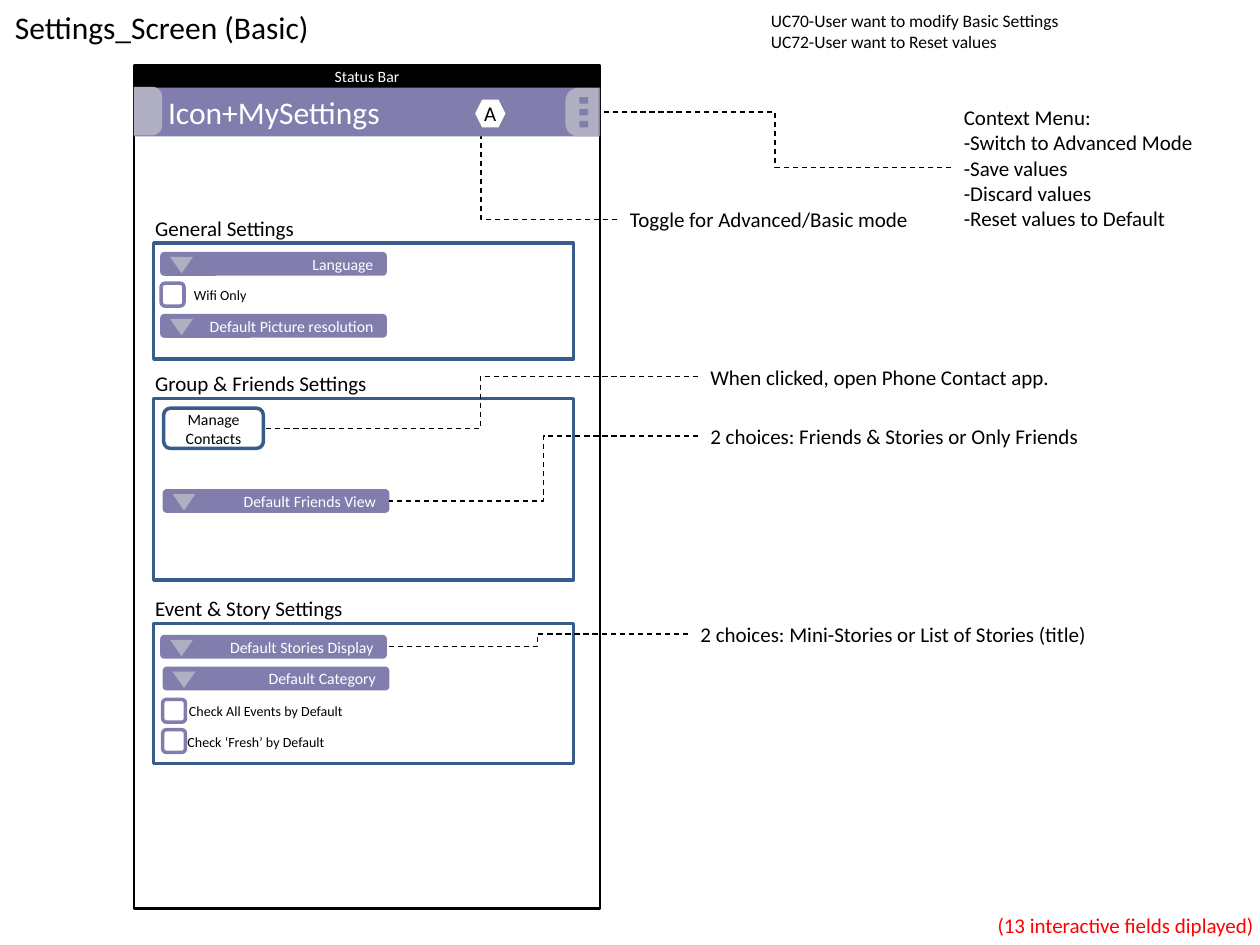
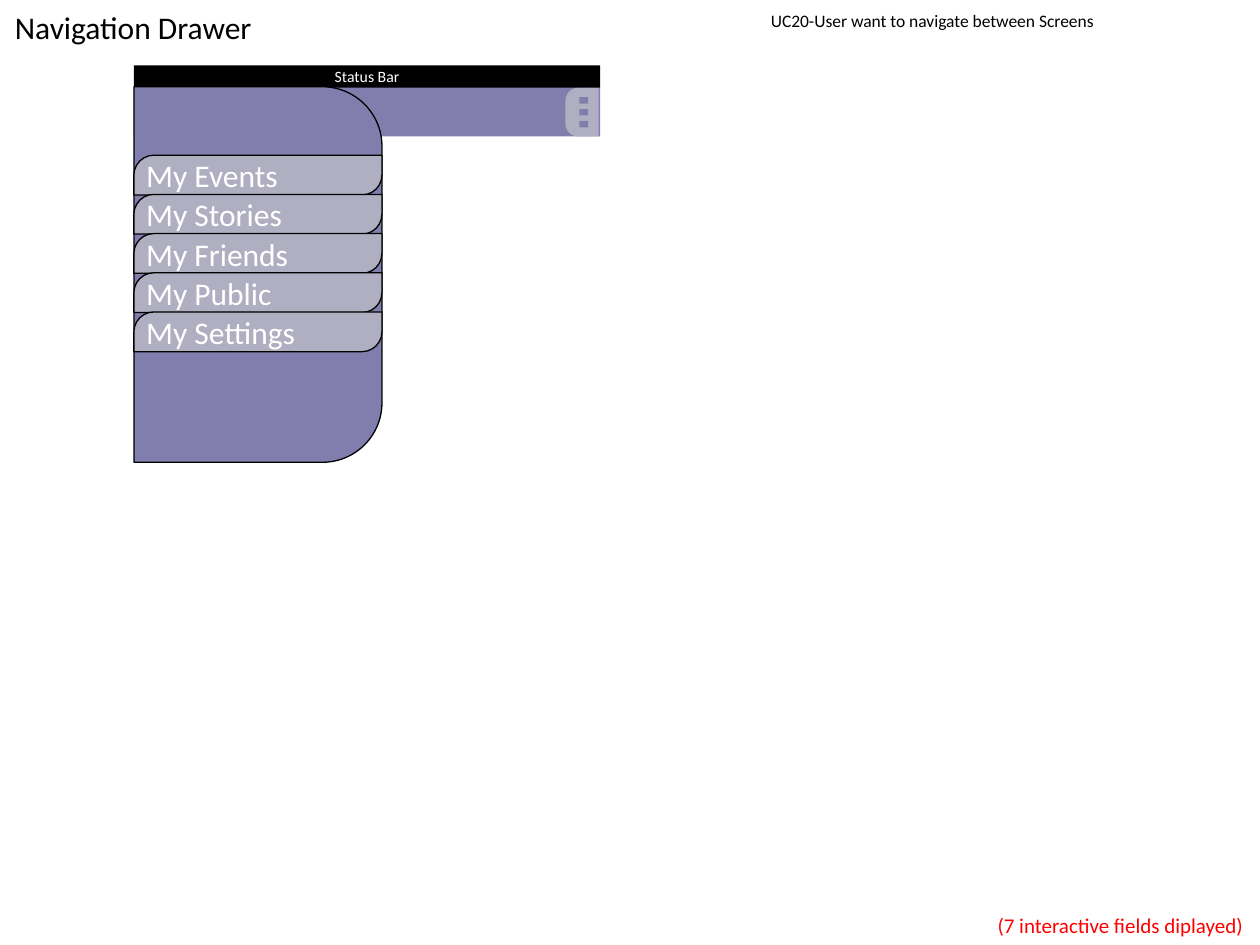
from lxml import etree
from pptx import Presentation
from pptx.dml.color import RGBColor
from pptx.enum.dml import MSO_LINE
from pptx.enum.shapes import MSO_CONNECTOR, MSO_SHAPE
from pptx.enum.text import MSO_ANCHOR, MSO_AUTO_SIZE, PP_ALIGN
from pptx.oxml.ns import qn
from pptx.util import Cm, Pt

RECTANGLE = MSO_SHAPE.RECTANGLE
ROUNDED = MSO_SHAPE.ROUNDED_RECTANGLE
TRIANGLE = MSO_SHAPE.FLOWCHART_MERGE
HEXAGON = MSO_SHAPE.HEXAGON
ROUND_TOP = MSO_SHAPE.ROUND_2_SAME_RECTANGLE
ROUND_DIAGONAL = MSO_SHAPE.ROUND_2_DIAG_RECTANGLE
ELBOW = MSO_CONNECTOR.ELBOW
DASH = MSO_LINE.DASH
LEFT, CENTER, RIGHT = PP_ALIGN.LEFT, PP_ALIGN.CENTER, PP_ALIGN.RIGHT
TOP, MIDDLE = MSO_ANCHOR.TOP, MSO_ANCHOR.MIDDLE
NO_AUTOFIT = MSO_AUTO_SIZE.NONE

FONT = "Calibri"
COLORS = {
    "black": "000000",
    "white": "FFFFFF",
    "purple": "817EAE",
    "gray": "B0AFC1",
    "blue": "385D8A",
    "red": "FF0000",
}

# Phone screen, in centimetres
PHONE_LEFT, PHONE_TOP, PHONE_WIDTH = 2.7, 1.32, 9.4
HEADER_TOP, HEADER_HEIGHT = 1.75, 1


def color(name):
    return RGBColor.from_string(COLORS[name])


def box(left, top, width, height):
    return Cm(left), Cm(top), Cm(width), Cm(height)


def write(shape, text, size=12, font_color="black", align=LEFT, anchor=TOP,
          margin_left=0.25, margin_right=0.25):
    """Fill a shape with text, one paragraph per line."""
    frame = shape.text_frame
    frame.word_wrap = True
    frame.auto_size = NO_AUTOFIT
    frame.vertical_anchor = anchor
    frame.margin_left, frame.margin_right = Cm(margin_left), Cm(margin_right)
    frame.margin_top = frame.margin_bottom = Cm(0.13)
    frame.text = text
    for paragraph in frame.paragraphs:
        paragraph.alignment = align
        paragraph.font.name = FONT
        paragraph.font.size = Pt(size)
        paragraph.font.color.rgb = color(font_color)


def add_label(slide, text, left, top, width, height=0.76, **text_format):
    write(slide.shapes.add_textbox(*box(left, top, width, height)), text, **text_format)


def add_block(slide, kind, left, top, width, height, fill=None, line=None, line_width=2):
    shape = slide.shapes.add_shape(kind, *box(left, top, width, height))
    shape.shadow.inherit = False
    if fill:
        shape.fill.solid()
        shape.fill.fore_color.rgb = color(fill)
    else:
        shape.fill.background()
    if line:
        shape.line.color.rgb = color(line)
        shape.line.width = Pt(line_width)
    else:
        shape.line.fill.background()
    return shape


def add_side_tab(slide, left, top, width, height, rotation, radius, fill="gray", **outline):
    """Add a tab with two round corners: on the right at 90 degrees, on the left at 270."""
    shift = (width - height) / 2
    tab = add_block(slide, ROUND_TOP, left + shift, top - shift, height, width, fill, **outline)
    tab.rotation = rotation
    tab.adjustments[0] = radius


def add_page(presentation, title, use_cases, field_count):
    slide = presentation.slides.add_slide(presentation.slide_layouts[5])
    heading = slide.shapes.title
    heading.left, heading.top, heading.width, heading.height = box(0.05, 0.03, 8, 1.02)
    write(heading, title, size=18)
    add_label(slide, use_cases, 15.29, 0.08, 9.42, 1.12, size=10)
    add_label(slide, f"({field_count} interactive fields diplayed)", 19.86, 18.26, 5.54,
              font_color="red", margin_right=0)
    return slide


def add_phone_header(slide, title=""):
    bar = add_block(slide, RECTANGLE, PHONE_LEFT, HEADER_TOP, PHONE_WIDTH, HEADER_HEIGHT,
                    "purple")
    if title:
        write(bar, title, size=18, font_color="white", anchor=MIDDLE, margin_left=0.69)
    status = add_block(slide, RECTANGLE, PHONE_LEFT, PHONE_TOP, PHONE_WIDTH, 0.45, "black")
    write(status, "Status Bar", size=9, font_color="white", align=CENTER, anchor=MIDDLE)
    add_side_tab(slide, 11.4, HEADER_TOP + 0.02, 0.67, 0.98, 270, 0.38)
    for index in range(3):
        add_block(slide, RECTANGLE, 11.68, 1.96 + 0.24 * index, 0.18, 0.13, "purple")


def add_settings_panel(slide, title, top, height):
    add_block(slide, RECTANGLE, 3.1, top, 8.46, height, "white", "blue")
    add_label(slide, title, 2.88, top - 0.69, 5.8)


def add_dropdown(slide, text, left, top):
    field = add_block(slide, ROUNDED, left, top, 4.57, 0.48, "purple")
    write(field, text, size=9, font_color="white", align=RIGHT, anchor=MIDDLE)
    add_block(slide, TRIANGLE, left + 0.2, top + 0.1, 0.46, 0.33, "gray")


def add_checkbox(slide, text, left, top, label_gap):
    add_block(slide, ROUNDED, left, top, 0.46, 0.46, "white", "purple")
    add_label(slide, text, left + label_gap, top - 0.06, 4, 0.61, size=8)


def add_callout(slide, text, left, top, width, target, height=0.76, single_bend=False):
    """Add a note and a dashed elbow line from its left side to the target point."""
    add_label(slide, text, left, top, width, height)
    connector = slide.shapes.add_connector(
        ELBOW, Cm(left), Cm(top + height / 2), Cm(target[0]), Cm(target[1]))
    connector.line.color.rgb = color("black")
    connector.line.width = Pt(0.75)
    connector.line.dash_style = DASH
    properties = connector._element.spPr
    etree.SubElement(properties, qn("a:effectLst"))
    if single_bend:
        properties.find(qn("a:prstGeom")).set("prst", "bentConnector2")


def add_menu_item(slide, text, top):
    item = add_block(slide, ROUND_DIAGONAL, PHONE_LEFT, top, 5, 0.8, "gray", "black", 0.75)
    item.adjustments[0] = 0.5
    write(item, text, size=18, font_color="white", anchor=MIDDLE, margin_left=0.13)


def build_settings_screen(presentation):
    slide = add_page(
        presentation, "Settings_Screen (Basic)",
        "UC70-User want to modify Basic Settings\nUC72-User want to Reset values", 13)
    add_block(slide, RECTANGLE, PHONE_LEFT, PHONE_TOP, PHONE_WIDTH, 17, line="black",
              line_width=1.5)

    for title, top, height in (
        ("General Settings", 4.9, 2.34),
        ("Group & Friends Settings", 8.03, 3.66),
        ("Event & Story Settings", 12.57, 2.82),
    ):
        add_settings_panel(slide, title, top, height)
    for text, left, top in (
        ("Language", 3.23, 5.08),
        ("Default Picture resolution", 3.23, 6.33),
        ("Default Friends View", 3.28, 9.86),
        ("Default Stories Display", 3.23, 12.8),
        ("Default Category", 3.28, 13.44),
    ):
        add_dropdown(slide, text, left, top)
    for text, left, top, label_gap in (
        ("Wifi Only", 3.25, 5.71, 0.41),
        ("Check All Events by Default", 3.28, 14.1, 0.28),
        ("Check ‘Fresh’ by Default", 3.28, 14.71, 0.25),
    ):
        add_checkbox(slide, text, left, top, label_gap)
    button = add_block(slide, ROUNDED, 3.3, 8.23, 2.01, 0.81, "white", "blue")
    write(button, "Manage Contacts", size=9, align=CENTER, anchor=MIDDLE)

    for text, left, top, target in (
        ("When clicked, open Phone Contact app.", 14.07, 7.21, (5.3, 8.64)),
        ("2 choices: Friends & Stories or Only Friends", 14.07, 8.41, (7.85, 10.1)),
        ("2 choices: Mini-Stories or List of Stories (title)", 13.87, 12.4, (7.8, 13.04)),
    ):
        add_callout(slide, text, left, top, 9.7, target)
    add_callout(slide, "Toggle for Advanced/Basic mode", 12.45, 4.04, 6.58, (9.7, 2.54),
                single_bend=True)
    add_callout(
        slide,
        "Context Menu:\n-Switch to Advanced Mode\n-Save values\n-Discard values\n"
        "-Reset values to Default",
        19.18, 1.98, 5.6, (12.07, 2.26), height=2.79)

    add_phone_header(slide, "Icon+MySettings")
    add_side_tab(slide, PHONE_LEFT, HEADER_TOP, 0.57, 0.98, 90, 0.36)
    toggle = add_block(slide, HEXAGON, 9.58, 2.01, 0.61, 0.56, "white")
    write(toggle, "A", align=CENTER, anchor=MIDDLE, margin_left=0, margin_right=0)


def build_navigation_drawer(presentation):
    slide = add_page(presentation, "Navigation Drawer",
                     "UC20-User want to navigate between Screens", 7)
    add_phone_header(slide)
    add_side_tab(slide, PHONE_LEFT, HEADER_TOP, 5, 7.57, 90, 0.24, "purple",
                 line="black", line_width=0.75)
    for index, name in enumerate(("Events", "Stories", "Friends", "Public", "Settings")):
        add_menu_item(slide, f"My {name}", 3.13 + 0.79 * index)


def main():
    presentation = Presentation()
    presentation.slide_width, presentation.slide_height = Cm(25.4), Cm(19.05)
    build_settings_screen(presentation)
    build_navigation_drawer(presentation)
    presentation.save("out.pptx")


if __name__ == "__main__":
    main()
